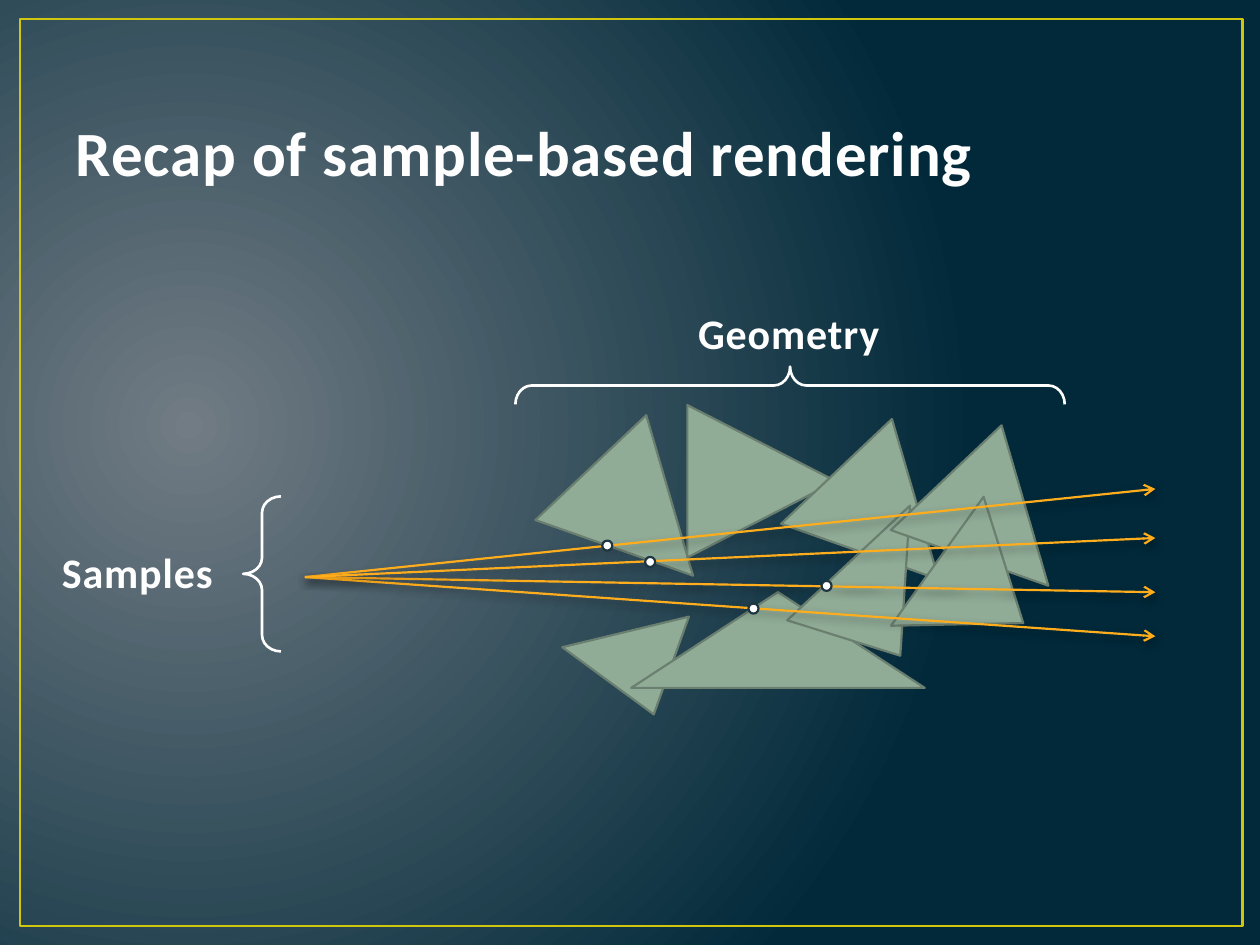
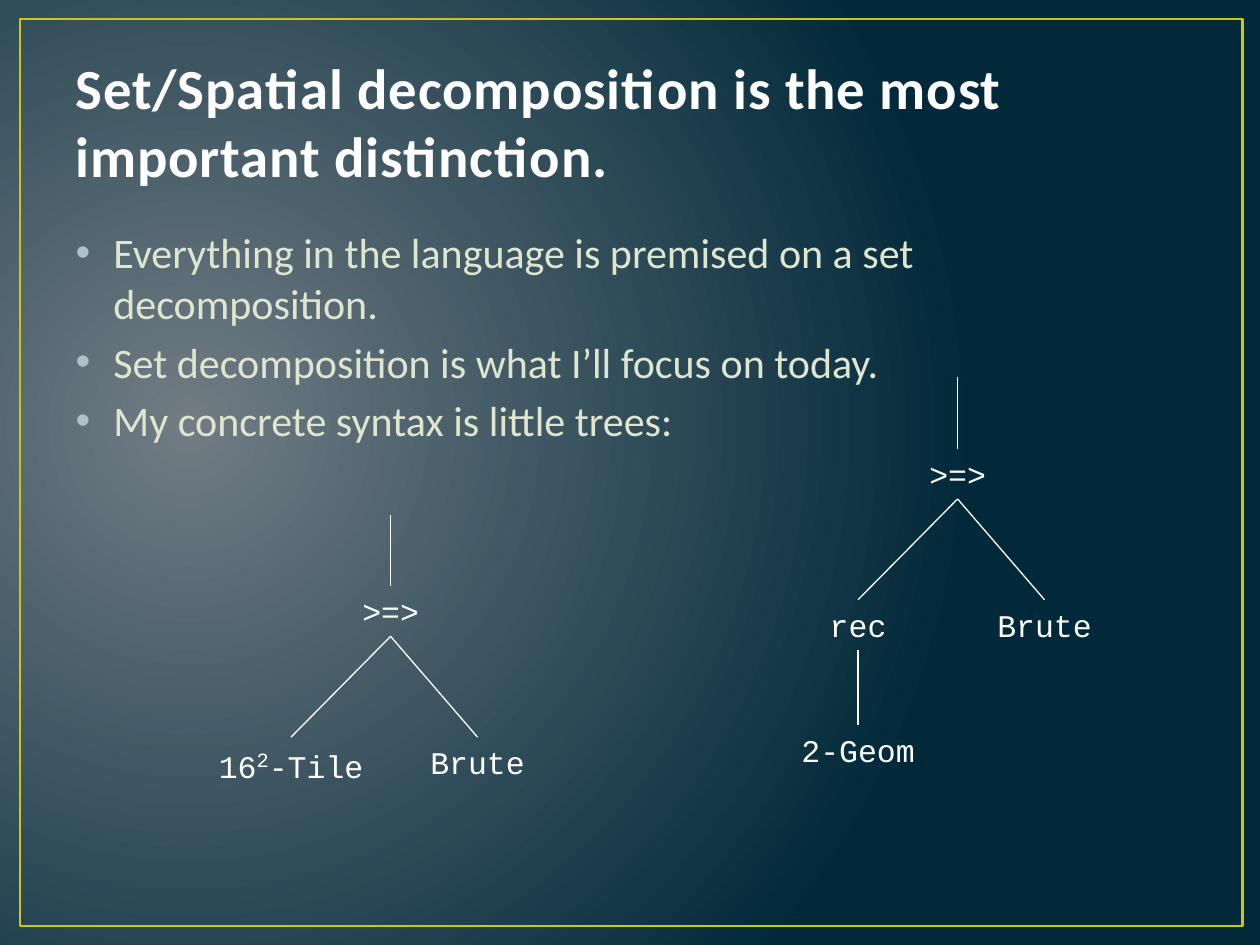
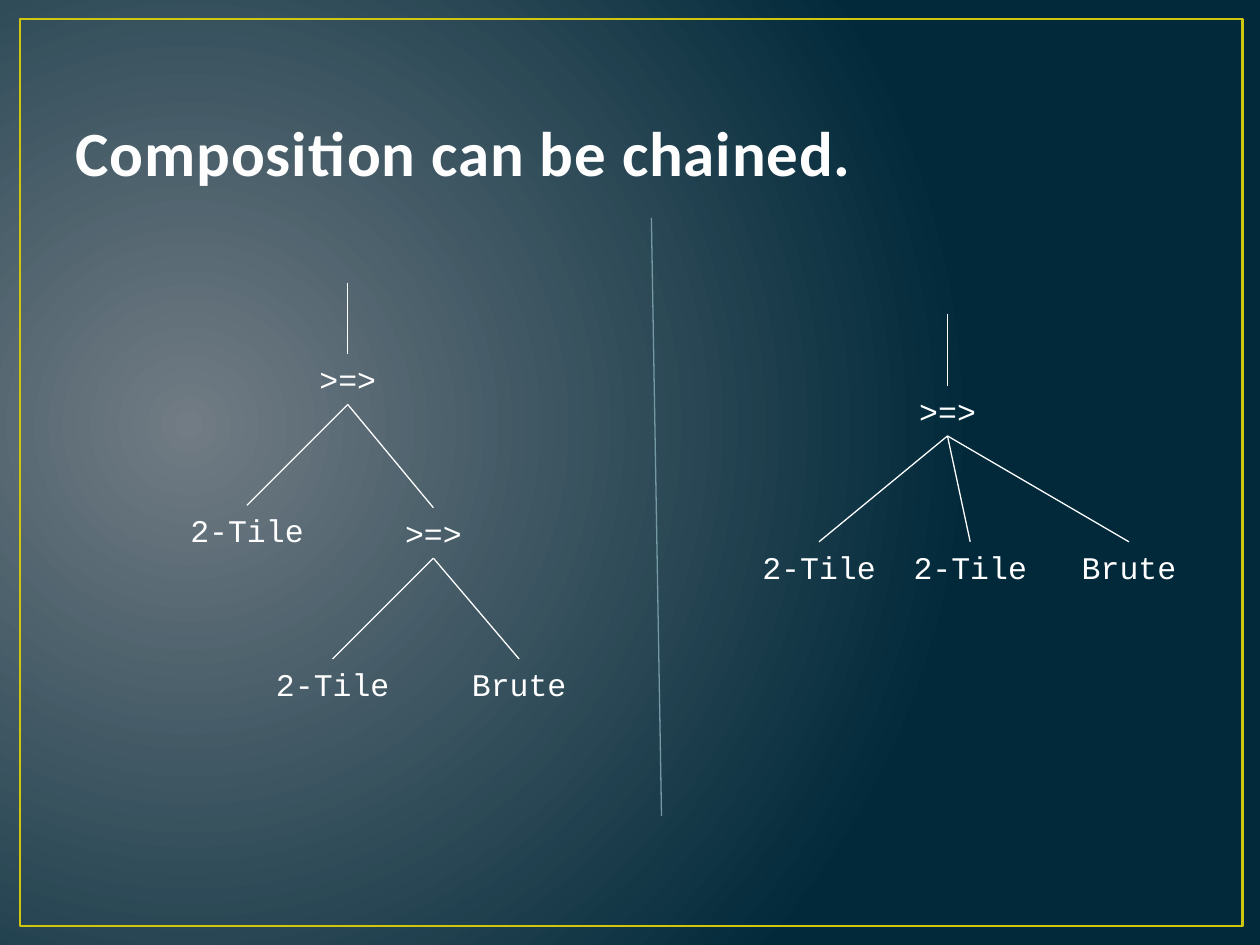
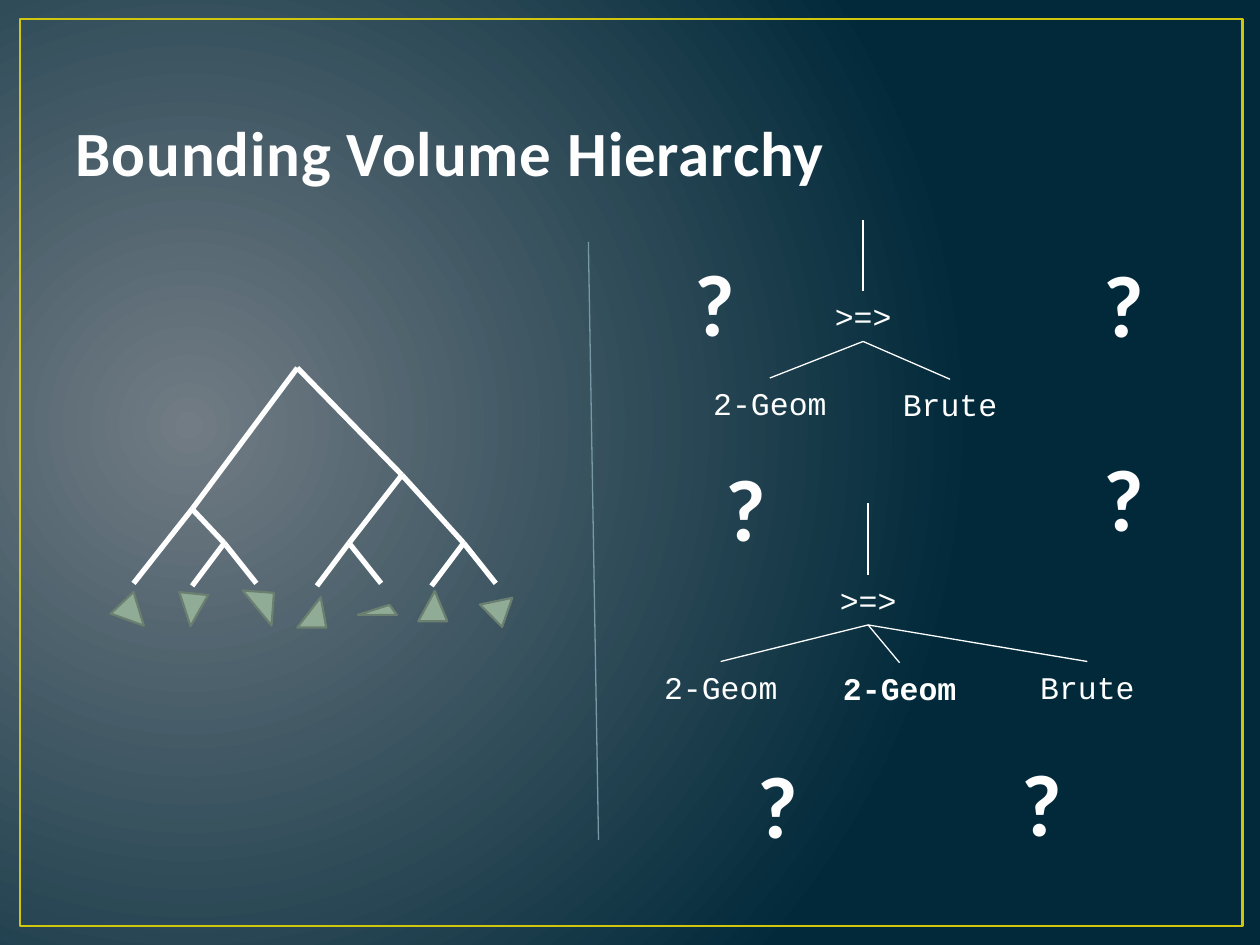
"""Build four slides on composing sample and geometry decompositions."""
from pptx import Presentation
from pptx.dml.color import RGBColor
from pptx.enum.shapes import MSO_CONNECTOR, MSO_SHAPE as SHAPE
from pptx.enum.text import MSO_ANCHOR as ANCHOR, MSO_AUTO_SIZE as FIT, PP_ALIGN as ALIGN
from pptx.oxml import parse_xml
from pptx.oxml.ns import nsdecls, qn
from pptx.util import Inches, Pt

GLOW = RGBColor(0x71, 0x7C, 0x84)
NIGHT = RGBColor(0x01, 0x29, 0x3A)
FRAME = RGBColor(0xCF, 0xC6, 0x0D)
HEADING = RGBColor(0xFE, 0xFE, 0xFE)
HEADING_EDGE = RGBColor(0x38, 0x4F, 0x55)
BODY = RGBColor(0xDF, 0xE6, 0xD0)
BULLET = RGBColor(0xAC, 0xC2, 0xC9)
WHITE = RGBColor(0xFF, 0xFF, 0xFF)
SAGE = RGBColor(0x90, 0xAC, 0x97)
SAGE_EDGE = RGBColor(0x6B, 0x7F, 0x70)
RAY = RGBColor(0xFF, 0xAD, 0x1C)
DOT_EDGE = RGBColor(0x1D, 0x36, 0x41)
DIVIDER = RGBColor(0x75, 0x9A, 0xA5)

COLUMNS, ROWS = 100, 75
CELL = Inches(0.1)
LABEL_HEIGHT = 4
LABEL_WIDTHS = {">=>": 7.9, "Brute": 10.8}
STEM = 5.65


def cells(*lengths):
    return [int(length * CELL) for length in lengths]


def add_line(page, start, end, color=WHITE, weight=0.75):
    line = page.shapes.add_connector(MSO_CONNECTOR.STRAIGHT, *cells(*start, *end))
    line.line.color.rgb = color
    line.line.width = Pt(weight)
    line.element.spPr.append(parse_xml(f"<a:effectLst {nsdecls('a')}/>"))
    return line


deck = Presentation()
deck.slide_width, deck.slide_height = cells(COLUMNS, ROWS)
master = deck.slide_master

backdrop = master.background.fill
backdrop.gradient()
for stop, color in zip(backdrop.gradient_stops, (GLOW, NIGHT)):
    stop.color.rgb = color
gradient = next(master.element.iter(qn("a:gradFill")))
gradient.remove(gradient.find(qn("a:lin")))
gradient.append(parse_xml(
    f'<a:path {nsdecls("a")} path="circle">'
    '<a:fillToRect l="15000" t="50000" r="85000" b="60000"/></a:path>'))

pages, headings = [], []
for title, layout, size in (
    ("Recap of sample-based rendering", 5, 36),
    ("Set/Spatial decomposition is the most important distinction.", 1, 32.4),
    ("Composition can be chained.", 5, 36),
    ("Bounding Volume Hierarchy", 5, 36),
):
    page = deck.slides.add_slide(deck.slide_layouts[layout])
    box = page.shapes.title
    box.left, box.top, box.width, box.height = cells(5, 3, 90, 12.5)
    box.text_frame.text = title
    pages.append(page)
    headings.append((box, size, ALIGN.LEFT))
recap, syntax, chaining, hierarchy = pages

frame = recap.shapes.add_shape(SHAPE.RECTANGLE, *cells(1.6, 1.5, 97, 72))
frame.shadow.inherit = False
frame.fill.background()
frame.line.color.rgb = FRAME
frame.line.width = Pt(1.5)
master.shapes.element.insert(2, frame.element)

body = syntax.placeholders[1]
body.left, body.top, body.width, body.height = cells(5, 17.5, 90, 49.5)
body.text_frame.text = "\n".join((
    "Everything in the language is premised on a set decomposition.",
    "Set decomposition is what I’ll focus on today.",
    "My concrete syntax is little trees:",
))
body.text_frame.auto_size = FIT.NONE
for para in body.text_frame.paragraphs:
    span = para.runs[0]
    span.font.name, span.font.size = "Calibri", Pt(24)
    span.font.color.rgb = BODY
    layout_props = para._p.get_or_add_pPr()
    layout_props.set("marL", str(cells(3)[0]))
    layout_props.set("indent", str(cells(-3)[0]))
    for bullet in (f'<a:buClr {nsdecls("a")}><a:srgbClr val="{BULLET}"/></a:buClr>',
                   f'<a:buFont {nsdecls("a")} typeface="Arial"/>',
                   f'<a:buChar {nsdecls("a")} char="•"/>'):
        layout_props.append(parse_xml(bullet))

scene = (
    ((44.9, 35.5, 12.1, 11.8), 136.6, 0.5),
    ((54.4, 32.3, 12.1, 11.8), 90, 0.5),
    ((64.4, 35.8, 12.1, 11.8), 136.6, 0.5),
    ((46.1, 46.9, 9, 7.9), 36.3, 0.74),
    ((50.1, 47, 23.3, 7.6), 0, 0.5),
    ((64, 39.3, 9.4, 11.6), 17.4, 0.7),
    ((73.1, 36.3, 12.1, 11.8), 136.6, 0.5),
    ((71.5, 42.8, 12.6, 8.4), 125.7, 0.5),
)
leaves = (
    ((9.3, 47.5, 2.5, 2.5), 136.6, 0.5),
    ((14.1, 47.1, 2.3, 2.6), 185.7, 0.5),
    ((19.1, 47, 2.6, 2.5), 274.3, 1),
    ((23.6, 47.4, 2.3, 2.4), 0, 0.81),
    ((28.4, 48, 3.1, 0.8), 0, 0.81),
    ((33.2, 46.9, 2.3, 2.4), 0, 0.57),
    ((38.5, 47, 2.5, 2.2), 45.4, 0.57),
)
for page, triangles in ((recap, scene), (hierarchy, leaves)):
    for bounds, angle, apex in triangles:
        triangle = page.shapes.add_shape(SHAPE.ISOSCELES_TRIANGLE, *cells(*bounds))
        triangle.rotation = angle
        triangle.adjustments[0] = apex
        triangle.shadow.inherit = False
        triangle.fill.solid()
        triangle.fill.fore_color.rgb = SAGE
        triangle.line.color.rgb = SAGE_EDGE
        triangle.line.width = Pt(1.25)

for target_row in (38.8, 47, 50.5, 42.7):
    ray = add_line(recap, (24.2, 45.8), (91.7, target_row), RAY, 1.25)
    ray.element.spPr.find(qn("a:ln")).append(
        parse_xml(f'<a:tailEnd {nsdecls("a")} type="arrow"/>'))
    ray.element.spPr.find(qn("a:effectLst")).append(parse_xml(
        f'<a:outerShdw {nsdecls("a")} blurRad="{Pt(5)}" dist="{Pt(2)}" dir="5400000" '
        'rotWithShape="0"><a:srgbClr val="000000"><a:alpha val="43000"/></a:srgbClr>'
        '</a:outerShdw>'))

for bounds, angle in (((61.2, 8.8, 3, 43.6), 90), ((19.3, 39.4, 3, 12.3), 0)):
    brace = recap.shapes.add_shape(SHAPE.LEFT_BRACE, *cells(*bounds))
    brace.rotation = angle
    brace.adjustments[0] = 0.43
    brace.shadow.inherit = False
    brace.fill.background()
    brace.line.color.rgb = WHITE
    brace.line.width = Pt(1.5)

for column, row in ((47.8, 42.9), (51.2, 44.2), (65.2, 46.1), (59.4, 47.9)):
    hit = recap.shapes.add_shape(SHAPE.OVAL, *cells(column, row, 0.8, 0.8))
    hit.shadow.inherit = False
    hit.fill.solid()
    hit.fill.fore_color.rgb = WHITE
    hit.line.color.rgb = DOT_EDGE
    hit.line.width = Pt(1.25)

for page, column, row in ((chaining, 51.7, 17.3), (hierarchy, 46.7, 19.2)):
    add_line(page, (column, row), (column + 0.8, row + 47.45), DIVIDER)

trees = (
    (syntax, ((">=>", 31, 46.5, None), ("16^2^-Tile", 23.1, 58.5, 0),
              ("Brute", 37.9, 58.5, 0))),
    (syntax, ((">=>", 76, 35.6, None), ("rec", 68.1, 47.6, 0),
              ("Brute", 82.9, 47.6, 0), ("2-Geom", 68.1, 57.5, 1))),
    (chaining, ((">=>", 27.6, 28.1, None), ("2-Tile", 19.6, 40.1, 0),
                (">=>", 34.4, 40.3, 0), ("2-Tile", 26.4, 52.3, 2),
                ("Brute", 41.2, 52.3, 2))),
    (chaining, ((">=>", 75.2, 30.6, None), ("2-Tile", 65, 43, 0),
                ("2-Tile", 77, 43, 0), ("Brute", 89.6, 43, 0))),
    (hierarchy, ((">=>", 68.5, 23.1, None), ("2-Geom", 61.1, 30, 0),
                 ("Brute", 75.4, 30.1, 0))),
    (hierarchy, ((">=>", 68.9, 45.6, None), ("2-Geom", 57.2, 52.5, 0),
                 ("*2-Geom", 71.4, 52.6, 0), ("Brute", 86.3, 52.5, 0))),
)
for page, nodes in trees:
    labels = []
    for text, center, top, parent in nodes:
        width = LABEL_WIDTHS.get(text, 16.2)
        label = page.shapes.add_textbox(*cells(center - width / 2, top, width, LABEL_HEIGHT))
        label.text_frame.word_wrap = True
        label.text_frame.auto_size = FIT.SHAPE_TO_FIT_TEXT
        para = label.text_frame.paragraphs[0]
        para.alignment = ALIGN.CENTER
        for position, piece in enumerate(text.lstrip("*").split("^")):
            raised = position % 2 == 1
            span = para.add_run()
            span.text = piece
            span.font.name, span.font.size = "Courier New", Pt(20 if raised else 18)
            span.font.color.rgb = WHITE
            if text.startswith("*"):
                span.font.bold = True
            if raised:
                span.font._element.set("baseline", "30000")
        labels.append(label)
        if parent is None:
            stem = add_line(page, (center, top), (center, top - STEM))
            stem.begin_connect(label, 0)
        else:
            _, parent_center, parent_top, _ = nodes[parent]
            branch = add_line(page, (parent_center, parent_top + LABEL_HEIGHT), (center, top))
            branch.begin_connect(labels[parent], 2)
            branch.end_connect(label, 0)

root, left, right = (23.6, 29.2), (15.25, 40.4), (31.9, 37.7)
left_pair, middle_pair, right_pair = (17.8, 43.1), (27.7, 43.1), (36.8, 43.1)
branches = [(root, left), (root, right), (left, (10.6, 46.3)), (left, left_pair),
            (right, middle_pair), (right, right_pair)]
for column, row in (left_pair, middle_pair, right_pair):
    branches += [((column, row), (column - 2.55, row + 3.4)),
                 ((column, row), (column + 2.55, row + 3.2))]
for start, end in branches:
    add_line(hierarchy, start, end, weight=3)

captions = [(recap, "Geometry", 24, (52.9, 23.3, 19.4, 5.6)),
            (recap, "Samples", 24, (1.2, 42.3, 19.4, 5.6))]
for column, row in ((81.7, 19.6), (81.7, 35), (54.2, 59.3),
                    (75.2, 59.2), (51.7, 35.8), (49.2, 19.5)):
    captions.append((hierarchy, "?", 50, (column, row, 15, 9.1)))
for page, text, size, bounds in captions:
    box = page.shapes.add_textbox(*cells(*bounds))
    box.text_frame.text = text
    headings.append((box, size, ALIGN.CENTER))

for box, size, alignment in headings:
    box.text_frame.word_wrap = True
    box.text_frame.auto_size = FIT.NONE
    box.text_frame.vertical_anchor = ANCHOR.BOTTOM
    para = box.text_frame.paragraphs[0]
    para.alignment = alignment
    span = para.runs[0]
    span.font.name, span.font.size, span.font.bold = "Calibri", Pt(size), True
    span.font.color.rgb = HEADING
    span.font._element.set("spc", "50")
    span.font._element.insert(0, parse_xml(
        f'<a:ln {nsdecls("a")} w="{Pt(1.05)}"><a:solidFill>'
        f'<a:srgbClr val="{HEADING_EDGE}"/></a:solidFill></a:ln>'))

deck.save("out.pptx")
